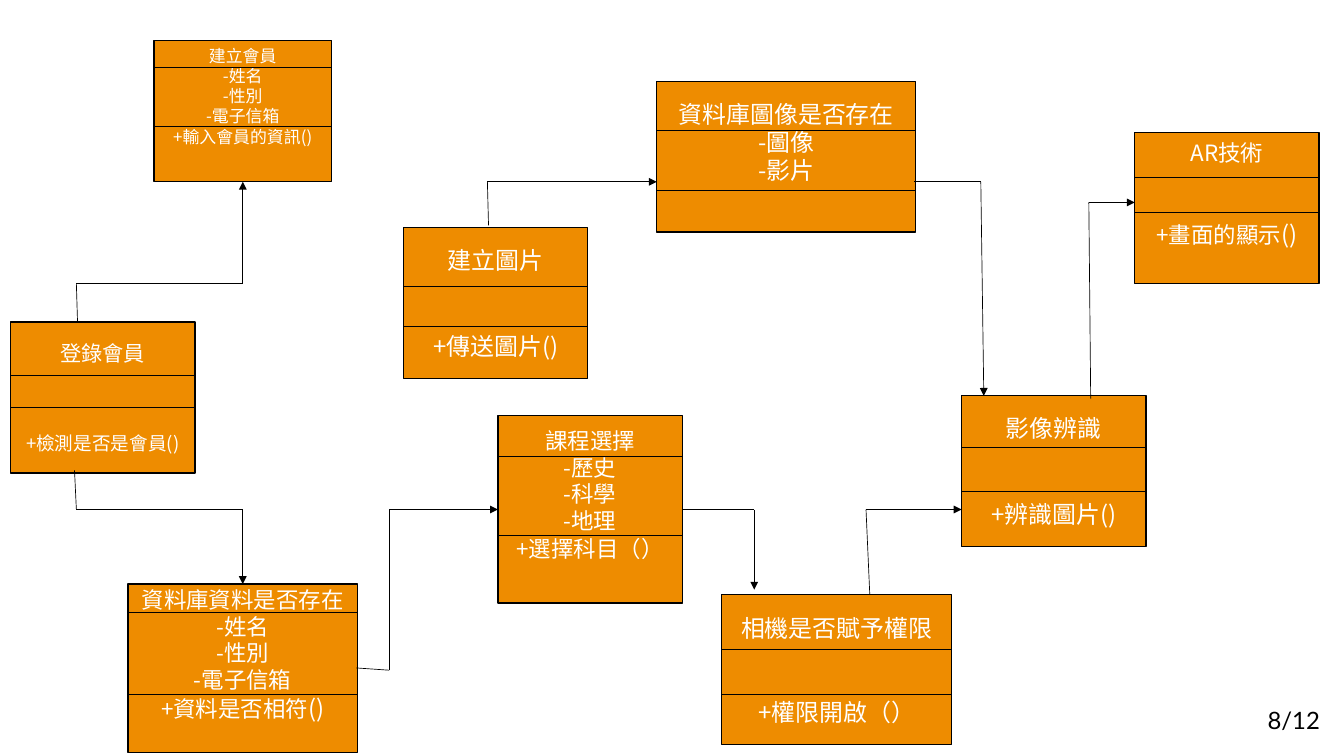
from dataclasses import dataclass
from itertools import pairwise

from pptx import Presentation
from pptx.dml.color import RGBColor
from pptx.enum.shapes import MSO_CONNECTOR, MSO_SHAPE
from pptx.enum.text import MSO_ANCHOR, PP_ALIGN
from pptx.oxml.ns import qn
from pptx.util import Cm, Pt
from lxml.etree import SubElement


@dataclass(frozen=True)
class Theme:
    box: RGBColor = RGBColor(0xEE, 0x8C, 0x00)
    ink: RGBColor = RGBColor(0x00, 0x00, 0x00)
    label: RGBColor = RGBColor(0xFF, 0xFF, 0xFF)
    class_font: str = "Noto Sans CJK SC"
    page_font: str = "Lato"
    tiny: float = 12.7
    small: float = 14
    login: float = 16
    medium: float = 16.9
    large: float = 18
    leading: float = 1.18
    border: float = 1
    flow: float = 0.5
    divider: float = 0.25


theme = Theme()
CM_PER_PT = 2.54 / 72

deck = Presentation()
deck.slide_width, deck.slide_height = Cm(35.71), Cm(20.09)
slide = deck.slides.add_slide(deck.slide_layouts[6])


def add_line(start, end, weight, arrow=False):
    line = slide.shapes.add_connector(
        MSO_CONNECTOR.STRAIGHT, Cm(start[0]), Cm(start[1]), Cm(end[0]), Cm(end[1]))
    line.line.color.rgb = theme.ink
    line.line.width = Pt(weight)
    if arrow:
        SubElement(line.line._get_or_add_ln(), qn("a:tailEnd"), type="triangle")
    SubElement(line._element.spPr, qn("a:effectLst"))


def add_run(paragraph, text, size, font, color):
    run = paragraph.add_run()
    run.text = text
    run.font.size = Pt(size)
    run.font.name = font
    run.font.color.rgb = color
    SubElement(run.font._element, qn("a:ea"), typeface=font)


# Classes: box, divider heights, title size and centre, attributes,
# method centre and method runs
classes = [
    ((4.09, 1.07, 4.72, 3.76), (1.78, 3.35), "建立會員", theme.tiny, 1.49,
     ["-姓名", "-性別", "-電子信箱"], 3.64, [("+輸入會員的資訊()", theme.tiny)]),
    ((0.28, 8.56, 4.9, 4.01), (9.98, 10.82), "登錄會員", theme.login, 9.38,
     [], 11.79, [("+檢測是否是會員()", theme.small)]),
    ((3.4, 15.52, 6.1, 4.47), (16.26, 18.44), "資料庫資料是否存在", theme.medium, 15.95,
     ["-姓名", "-性別", "-電子信箱"], 18.84,
     [("+資料是否相符", theme.medium), ("()", theme.large)]),
    ((13.23, 11.05, 4.9, 4.98), (12.12, 14.22), "課程選擇", theme.medium, 11.72,
     ["-歷史", "-科學", "-地理"], 14.59, [("+選擇科目（）", theme.medium)]),
    ((19.18, 15.8, 6.1, 3.99), (17.25, 18.44), "相機是否賦予權限", theme.large, 16.69,
     [], 18.94, [("+權限開啟（）", theme.large)]),
    ((25.55, 10.52, 4.9, 4.01), (11.89, 13.06), "影像辨識", theme.large, 11.37,
     [], 13.66, [("+辨識圖片()", theme.large)]),
    ((30.15, 3.53, 4.9, 4.01), (4.72, 5.64), "AR技術", theme.medium, 4.07,
     [], 6.24, [("+畫面的顯示", theme.medium), ("()", theme.large)]),
    ((10.72, 6.05, 4.9, 4.01), (7.61, 8.66), "建立圖片", theme.large, 6.91,
     [], 9.19, [("+傳送圖片()", theme.large)]),
    ((17.45, 2.16, 6.88, 4.01), (3.45, 5.05), "資料庫圖像是否存在", theme.large, 3.03,
     ["-圖像", "-影片"], None, []),
]

for box, dividers, title, size, title_y, attributes, method_y, method in classes:
    left, top, width, height = box
    class_box = slide.shapes.add_shape(MSO_SHAPE.RECTANGLE, *map(Cm, box))
    class_box.shadow.inherit = False
    class_box.fill.solid()
    class_box.fill.fore_color.rgb = theme.box
    class_box.line.color.rgb = theme.ink
    class_box.line.width = Pt(theme.border)

    row = size * theme.leading * CM_PER_PT
    frame = class_box.text_frame
    frame.word_wrap = True
    frame.vertical_anchor = MSO_ANCHOR.TOP
    frame.margin_left = frame.margin_right = Cm(0.1)
    frame.margin_top = Cm(title_y - top - row / 2)
    frame.margin_bottom = 0

    # Title, attributes, then the method set off by its own spacing
    members = [[(text, size)] for text in [title, *attributes]]
    if method:
        members.append(method)
    for index, member in enumerate(members):
        entry = frame.paragraphs[0] if index == 0 else frame.add_paragraph()
        entry.alignment = PP_ALIGN.CENTER
        entry.line_spacing = Pt(member[0][1] * theme.leading)
        for text, run_size in member:
            add_run(entry, text, run_size, theme.class_font, theme.label)
    if method:
        method_row = method[0][1] * theme.leading * CM_PER_PT
        rows_above = (len(attributes) + 0.5) * row + method_row / 2
        entry.space_before = Cm(max(0, method_y - title_y - rows_above))

    for y in dividers:
        add_line((left, y), (left + width, y), theme.divider)

# Flows between classes, each ending in an arrow
flows = [
    [(2.06, 8.56), (2.03, 7.54), (6.45, 7.54), (6.45, 4.83)],
    [(1.98, 12.5), (2.03, 13.54), (6.45, 13.54), (6.45, 15.52)],
    [(9.47, 17.75), (10.34, 17.81), (10.34, 13.54), (13.23, 13.54)],
    [(12.98, 5.99), (12.95, 4.83), (17.45, 4.83)],
    [(18.14, 13.54), (20.04, 13.54), (20.04, 15.67)],
    [(23.11, 15.8), (23.01, 13.54), (25.55, 13.54)],
    [(24.28, 4.83), (26.06, 4.83), (26.14, 10.52)],
    [(28.98, 10.59), (28.93, 5.38), (30.15, 5.38)],
]
for flow in flows:
    for start, end in pairwise(flow):
        add_line(start, end, theme.flow, arrow=end == flow[-1])

# Page number
page_number = slide.shapes.add_textbox(Cm(33.43), Cm(18.64), Cm(2.21), Cm(1.02))
page_number.text_frame.word_wrap = True
add_run(page_number.text_frame.paragraphs[0], "8/12", theme.large, theme.page_font, theme.ink)

deck.save("out.pptx")
